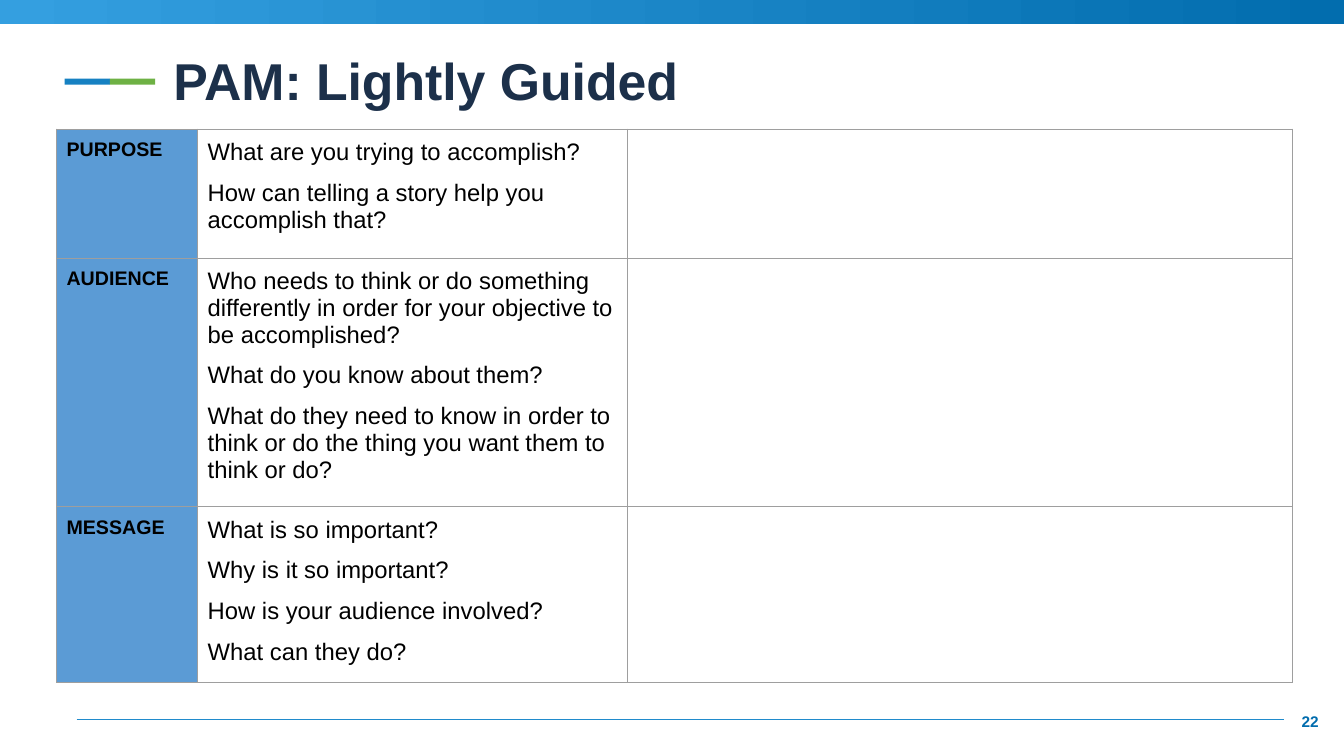
"""Build the PAM worksheet slide on a grid of 1333 columns by 750 rows."""
import collections

import pptx
import pptx.dml.color
import pptx.enum.shapes
import pptx.enum.text
import pptx.oxml
import pptx.oxml.ns
import pptx.util

RGBColor = pptx.dml.color.RGBColor
Pt = pptx.util.Pt
ANCHOR = pptx.enum.text.MSO_ANCHOR
ALIGN = pptx.enum.text.PP_ALIGN
RECTANGLE = pptx.enum.shapes.MSO_SHAPE.RECTANGLE
STRAIGHT = pptx.enum.shapes.MSO_CONNECTOR.STRAIGHT

DEEP_BLUE = RGBColor(0x02, 0x6D, 0xAE)
SKY_BLUE = RGBColor(0x34, 0x9F, 0xE0)
ACCENT_BLUE = RGBColor(0x16, 0x81, 0xC2)
ACCENT_GREEN = RGBColor(0x6E, 0xB1, 0x44)
RULE_BLUE = RGBColor(0x20, 0x8B, 0xCC)
LABEL_BLUE = RGBColor(0x5B, 0x9B, 0xD5)
NAVY = RGBColor(0x1C, 0x30, 0x4A)
BLACK = RGBColor(0, 0, 0)
BORDER_GREY = RGBColor(0x9E, 0x9E, 0x9E)

COLUMNS, ROWS = 1333, 750
UNIT = pptx.util.Inches(0.01)
Box = collections.namedtuple("Box", "left top width height")

WORKSHEET_COLUMNS = (140, 426, 660)
WORKSHEET = (
    (128, "PURPOSE", ("What are you trying to accomplish?",
                      "How can telling a story help you accomplish that?")),
    (246, "AUDIENCE", ("Who needs to think or do something differently in order for "
                       "your objective to be accomplished?",
                       "What do you know about them?",
                       "What do they need to know in order to think or do the thing "
                       "you want them to think or do?")),
    (175, "MESSAGE", ("What is so important?", "Why is it so important?",
                      "How is your audience involved?", "What can they do?")),
)


def scaled(box):
    """Turn grid units into slide lengths."""
    return [length * UNIT for length in box]


def write_text(frame, paragraphs, size, color=BLACK, bold=False, align=ALIGN.LEFT,
               anchor=ANCHOR.TOP, gap=0, line_spacing=None):
    """Fill a text frame with equally formatted paragraphs."""
    frame.word_wrap = True
    frame.vertical_anchor = anchor
    for index, text in enumerate(paragraphs):
        paragraph = frame.add_paragraph() if index else frame.paragraphs[0]
        paragraph.text = text
        paragraph.alignment = align
        paragraph.line_spacing = line_spacing
        if index:
            paragraph.space_before = Pt(gap)
        font = paragraph.font
        font.name, font.size, font.bold = "Arial", Pt(size), bold
        font.color.rgb = color


def add_text(slide, box, text, inset=0, **text_format):
    """Add a one-paragraph text box."""
    frame = slide.shapes.add_textbox(*scaled(box)).text_frame
    frame.margin_left = frame.margin_right = inset * UNIT
    frame.margin_top = frame.margin_bottom = inset * UNIT
    write_text(frame, [text], **text_format)


def add_bar(slide, box, color):
    """Add a plain bar without outline."""
    shape = slide.shapes.add_shape(RECTANGLE, *scaled(box))
    shape.shadow.inherit = False
    shape.line.fill.background()
    shape.fill.solid()
    shape.fill.fore_color.rgb = color
    return shape


def add_banner(slide, box):
    """Draw the gradient band along the top."""
    fill = add_bar(slide, box, SKY_BLUE).fill
    fill.gradient()
    fill.gradient_angle = 0
    for stop, color in zip(fill.gradient_stops, (SKY_BLUE, DEEP_BLUE)):
        stop.color.rgb = color


def add_heading(slide, box, text):
    """Draw the two-colour dash followed by the title."""
    dash, indent = 45, 108
    for index, color in enumerate((ACCENT_BLUE, ACCENT_GREEN)):
        add_bar(slide, Box(box.left + index * dash, box.top + 39, dash, 6), color)
    title = Box(box.left + indent, box.top, box.width - indent, box.height)
    add_text(slide, title, text, size=37, color=NAVY, bold=True,
             anchor=ANCHOR.MIDDLE, line_spacing=0.9)


def set_borders(cell):
    """Give a cell a thin grey line on every side."""
    properties = cell._tc.get_or_add_tcPr()
    for side in ("lnL", "lnR", "lnT", "lnB"):
        properties.append(pptx.oxml.parse_xml(
            f'<a:{side} {pptx.oxml.ns.nsdecls("a")} w="{Pt(0.75)}"><a:solidFill>'
            f'<a:srgbClr val="{BORDER_GREY}"/></a:solidFill></a:{side}>'))


def add_worksheet(slide, box):
    """Draw the table of labels, questions and blank answer cells."""
    table = slide.shapes.add_table(
        len(WORKSHEET), len(WORKSHEET_COLUMNS), *scaled(box)).table
    table.first_row = table.horz_banding = False
    for column, width in zip(table.columns, WORKSHEET_COLUMNS):
        column.width = width * UNIT
    for row, (height, label, questions) in zip(table.rows, WORKSHEET):
        row.height = height * UNIT
        for cell in row.cells:
            cell.margin_left = cell.margin_right = 10 * UNIT
            cell.margin_top = cell.margin_bottom = 10 * UNIT
            set_borders(cell)
            cell.fill.background()
        label_cell, question_cell = row.cells[0], row.cells[1]
        label_cell.fill.solid()
        label_cell.fill.fore_color.rgb = LABEL_BLUE
        write_text(label_cell.text_frame, [label], size=14, bold=True)
        write_text(question_cell.text_frame, questions, size=17, gap=10)


def add_footer(slide, box, number):
    """Draw the footer rule and the page number."""
    number_width = 43
    number_left = box.left + box.width - number_width
    rule_y = box.top + 13
    rule = slide.shapes.add_connector(
        STRAIGHT, *scaled((box.left, rule_y, number_left - 4, rule_y)))
    rule.line.color.rgb = RULE_BLUE
    rule.line.width = Pt(0.75)
    rule._element.spPr.append(pptx.oxml.parse_xml(
        f'<a:effectLst {pptx.oxml.ns.nsdecls("a")}/>'))
    add_text(slide, Box(number_left, box.top, number_width, box.height), number,
             inset=6, size=11, color=DEEP_BLUE, bold=True, align=ALIGN.CENTER)


def main():
    """Build and save the presentation."""
    presentation = pptx.Presentation()
    presentation.slide_width, presentation.slide_height = scaled((COLUMNS, ROWS))
    slide = presentation.slides.add_slide(presentation.slide_layouts[6])
    add_banner(slide, Box(0, 0, COLUMNS, 24))
    add_footer(slide, Box(76, 701, 1245, 30), "22")
    add_heading(slide, Box(64, 39, 1258, 88), "PAM: Lightly Guided")
    add_worksheet(slide, Box(56, 128, sum(WORKSHEET_COLUMNS),
                             sum(row[0] for row in WORKSHEET)))
    presentation.save("out.pptx")


if __name__ == "__main__":
    main()
